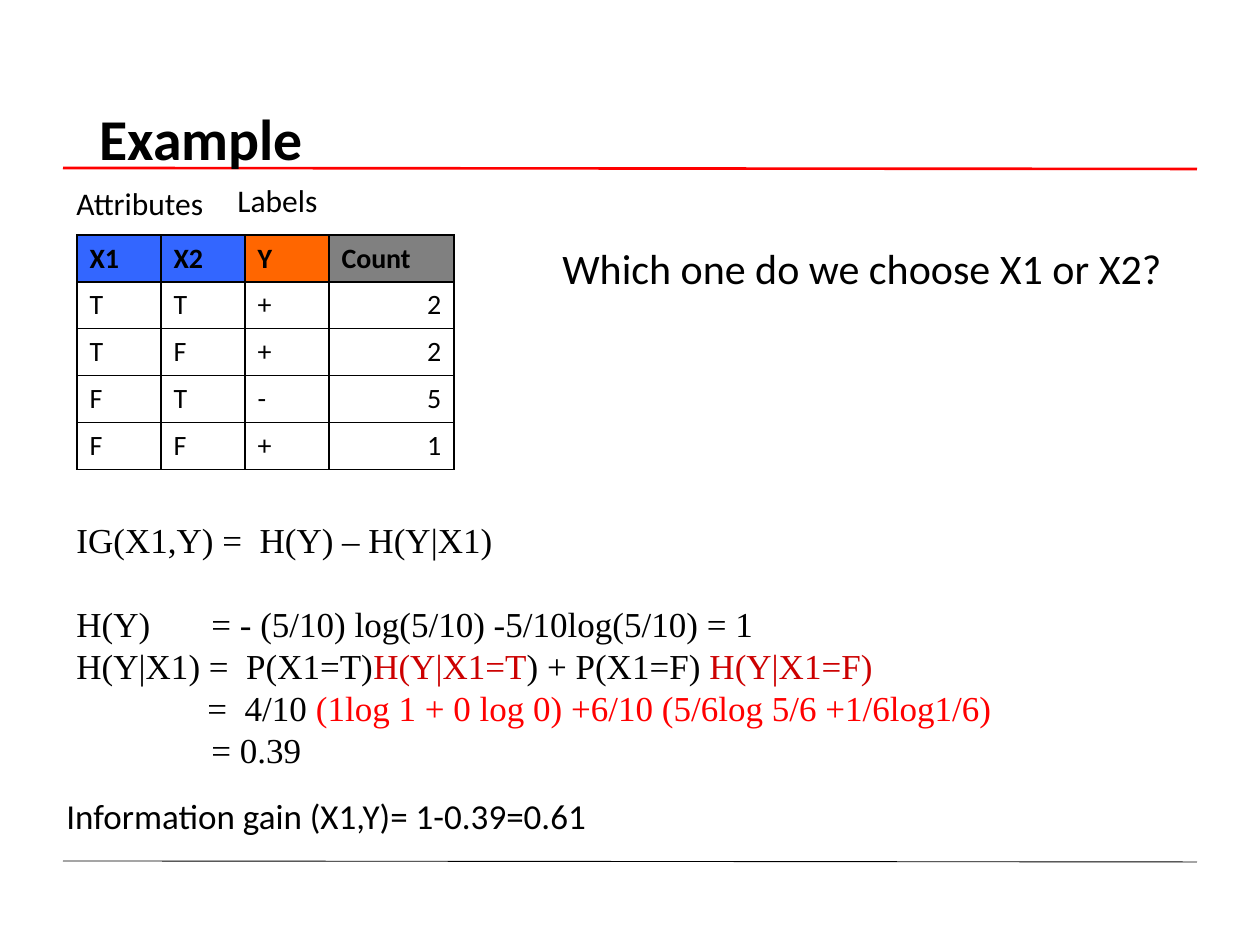
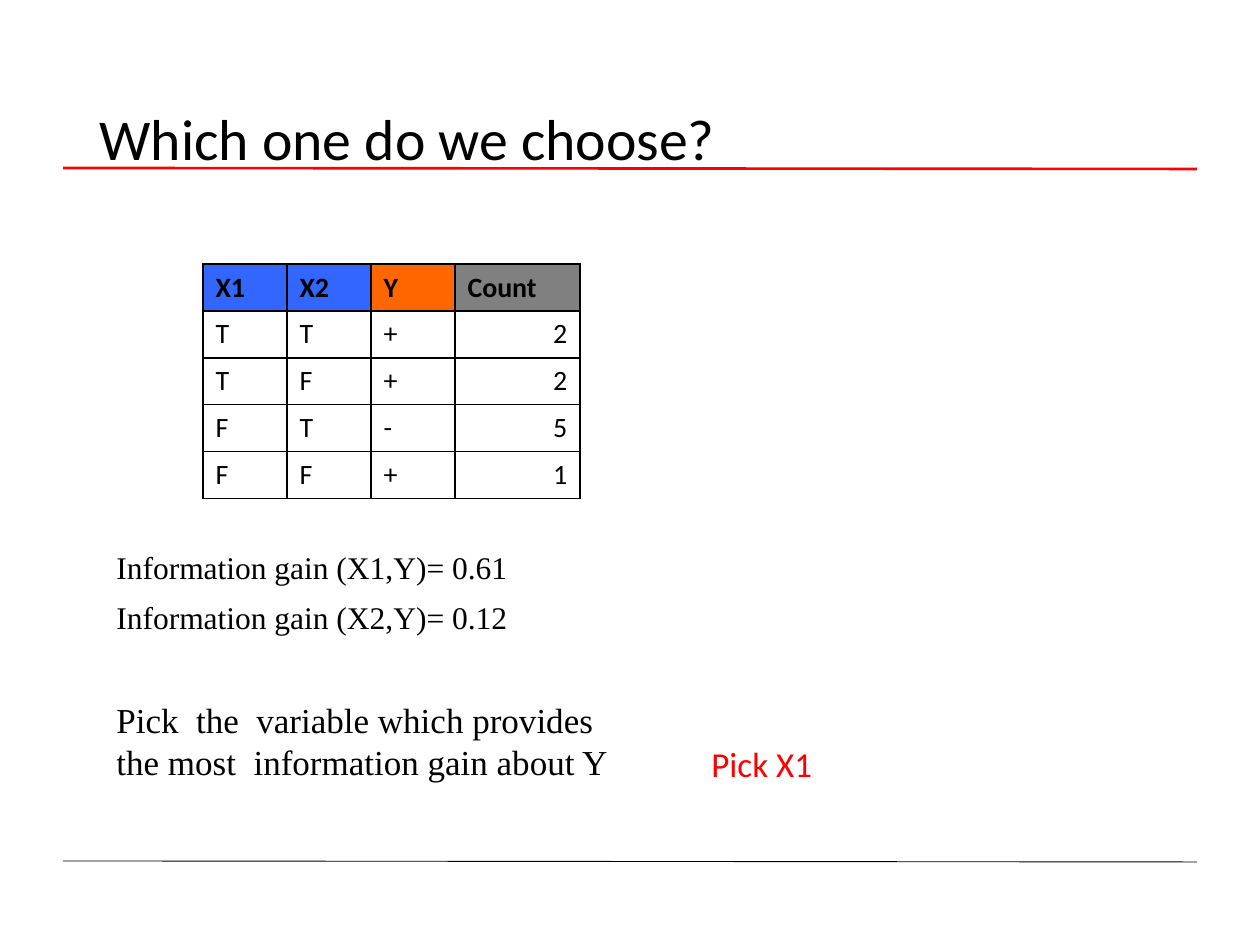
from lxml import etree
from pptx import Presentation
from pptx.dml.color import RGBColor
from pptx.enum.shapes import MSO_CONNECTOR
from pptx.enum.text import MSO_ANCHOR, MSO_AUTO_SIZE, PP_ALIGN
from pptx.oxml.ns import qn
from pptx.util import Emu, Pt

STRAIGHT = MSO_CONNECTOR.STRAIGHT
LEFT, RIGHT = PP_ALIGN.LEFT, PP_ALIGN.RIGHT
TOP, MIDDLE, BOTTOM = MSO_ANCHOR.TOP, MSO_ANCHOR.MIDDLE, MSO_ANCHOR.BOTTOM
NO_AUTOFIT = MSO_AUTO_SIZE.NONE
TITLE_ONLY = 5

SANS, SERIF = "Calibri", "Times New Roman"
BLACK = RGBColor(0x00, 0x00, 0x00)
RED = RGBColor(0xFF, 0x00, 0x00)
DARK_RED = RGBColor(0xCC, 0x00, 0x00)
BLUE = RGBColor(0x33, 0x66, 0xFF)
ORANGE = RGBColor(0xFF, 0x66, 0x00)
GRAY = RGBColor(0x80, 0x80, 0x80)

PX_PER_INCH = 126
SLIDE_SIZE = (1260, 945)

# Shared frame: title box and rules (left, top, right, bottom, colour, points)
TITLE_BOX = (87, 50, 1086, 183)
RULES = [
    (63, 168, 1197, 169, RED, 1.5),
    (63, 861, 1197, 862, BLACK, 0.5),
]

# Shared table of training examples
HEADER = [("X1", BLUE), ("X2", BLUE), ("Y", ORANGE), ("Count", GRAY)]
EXAMPLES = [
    ("T", "T", "+", "2"),
    ("T", "F", "+", "2"),
    ("F", "T", "-", "5"),
    ("F", "F", "+", "1"),
]
COLUMN_WIDTHS = [84, 84, 84, 125]
ROW_HEIGHT = 46

# A paragraph is a list of (text, colour) runs, or a plain string;
# a dict adds an indent or a tab stop in px, or space before in points.
EQUALS_AT = 135
DERIVATION = [
    "IG(X1,Y) =  H(Y) – H(Y|X1)",
    {"runs": "H(Y)\t= - (5/10) log(5/10) -5/10log(5/10) = 1",
     "tab": EQUALS_AT, "before": 24},
    [("H(Y|X1) =  P(X1=T)", BLACK), ("H(Y|X1=T", DARK_RED),
     (") + P(X1=F) ", BLACK), ("H(Y|X1=F)", DARK_RED)],
    {"runs": [("=  4/10 ", BLACK),
              ("(1log 1 + 0 log 0) +6/10 (5/6log 5/6 +1/6log1/6)", RED)],
     "indent": EQUALS_AT - 4},
    {"runs": "= 0.39", "indent": EQUALS_AT},
]

# Each text: (box, paragraphs, format)
SLIDES = [
    {
        "title": "Example", "title_bold": True, "table_at": (77, 235),
        "texts": [
            ((64, 178, 165, 50), ["Attributes"], {"size": 18}),
            ((225, 175, 125, 50), ["Labels"], {"size": 18}),
            ((64, 512, 1091, 265), DERIVATION, {"font": SERIF}),
            ((54, 788, 570, 54), ["Information gain (X1,Y)= 1-0.39=0.61"], {}),
            ((550, 236, 650, 63), ["Which one do we choose X1 or X2?"], {"size": 24}),
        ],
    },
    {
        "title": "Which one do we choose?", "title_bold": False, "table_at": (203, 264),
        "texts": [
            ((104, 542, 440, 50), ["Information gain (X1,Y)= 0.61"],
             {"size": 18, "font": SERIF}),
            ((104, 592, 440, 50), ["Information gain (X2,Y)= 0.12"],
             {"size": 18, "font": SERIF}),
            ((699, 736, 140, 54), ["Pick X1"], {"color": RED}),
            ((104, 692, 973, 97),
             ["Pick  the  variable which provides",
              "the most  information gain about Y"], {"font": SERIF}),
        ],
    },
]


def px(length):
    return Emu(round(length * 914400 / PX_PER_INCH))


def write_text(frame, paragraphs, size=20, font=SANS, color=BLACK, bold=False,
               align=LEFT, line_spacing=None):
    """Fill a text frame with formatted paragraphs."""
    for index, entry in enumerate(paragraphs):
        layout = entry if isinstance(entry, dict) else {"runs": entry}
        runs = layout["runs"]
        if isinstance(runs, str):
            runs = [(runs, color)]
        paragraph = frame.paragraphs[0] if index == 0 else frame.add_paragraph()
        paragraph.alignment = align
        paragraph.line_spacing = line_spacing
        paragraph.space_before = Pt(layout.get("before", 0))
        properties = paragraph._p.get_or_add_pPr()
        if "indent" in layout:
            properties.set("marL", str(px(layout["indent"])))
        if "tab" in layout:
            tabs = etree.SubElement(properties, qn("a:tabLst"))
            etree.SubElement(tabs, qn("a:tab"), pos=str(px(layout["tab"])), algn="l")
        for text, run_color in runs:
            run = paragraph.add_run()
            run.text = text
            run.font.size = Pt(size)
            run.font.name = font
            run.font.bold = bold
            run.font.color.rgb = run_color


def add_frame(slide, title_text, bold):
    """Format the title and put the two rules behind it."""
    title = slide.shapes.title
    title.left, title.top, title.width, title.height = map(px, TITLE_BOX)
    frame = title.text_frame
    frame.vertical_anchor = MIDDLE
    frame.auto_size = NO_AUTOFIT
    write_text(frame, [title_text], size=33, bold=bold, line_spacing=0.9)
    for *ends, color, weight in RULES:
        rule = slide.shapes.add_connector(STRAIGHT, *map(px, ends))
        rule.line.color.rgb = color
        rule.line.width = Pt(weight)
        etree.SubElement(rule.element.spPr, qn("a:effectLst"))
        title.element.addprevious(rule.element)


def set_borders(cell):
    """Draw a thin black line on every side; borders come before the fill."""
    properties = cell._tc.get_or_add_tcPr()
    for position, side in enumerate(("lnL", "lnR", "lnT", "lnB")):
        border = etree.Element(qn(f"a:{side}"), w=str(Pt(1)))
        fill = etree.SubElement(border, qn("a:solidFill"))
        etree.SubElement(fill, qn("a:srgbClr"), val=str(BLACK))
        properties.insert(position, border)


def add_examples_table(slide, left, top):
    rows = [[label for label, _ in HEADER], *EXAMPLES]
    table = slide.shapes.add_table(
        len(rows), len(HEADER), px(left), px(top),
        px(sum(COLUMN_WIDTHS)), px(ROW_HEIGHT * len(rows))).table
    table.first_row = table.horz_banding = False
    for column, width in zip(table.columns, COLUMN_WIDTHS):
        column.width = px(width)
    for row_index, values in enumerate(rows):
        table.rows[row_index].height = px(ROW_HEIGHT)
        is_header = row_index == 0
        for column_index, value in enumerate(values):
            cell = table.cell(row_index, column_index)
            cell.vertical_anchor = BOTTOM
            if is_header:
                cell.fill.solid()
                cell.fill.fore_color.rgb = HEADER[column_index][1]
            else:
                cell.fill.background()
            set_borders(cell)
            write_text(cell.text_frame, [value], size=16, bold=is_header,
                       align=RIGHT if value.isdigit() else LEFT)


def add_text(slide, box, paragraphs, text_format):
    frame = slide.shapes.add_textbox(*map(px, box)).text_frame
    frame.word_wrap = True
    frame.vertical_anchor = TOP
    write_text(frame, paragraphs, **text_format)


def main():
    presentation = Presentation()
    presentation.slide_width, presentation.slide_height = map(px, SLIDE_SIZE)
    for content in SLIDES:
        slide = presentation.slides.add_slide(presentation.slide_layouts[TITLE_ONLY])
        add_frame(slide, content["title"], content["title_bold"])
        add_examples_table(slide, *content["table_at"])
        for box, paragraphs, text_format in content["texts"]:
            add_text(slide, box, paragraphs, text_format)
    presentation.save("out.pptx")


if __name__ == "__main__":
    main()
